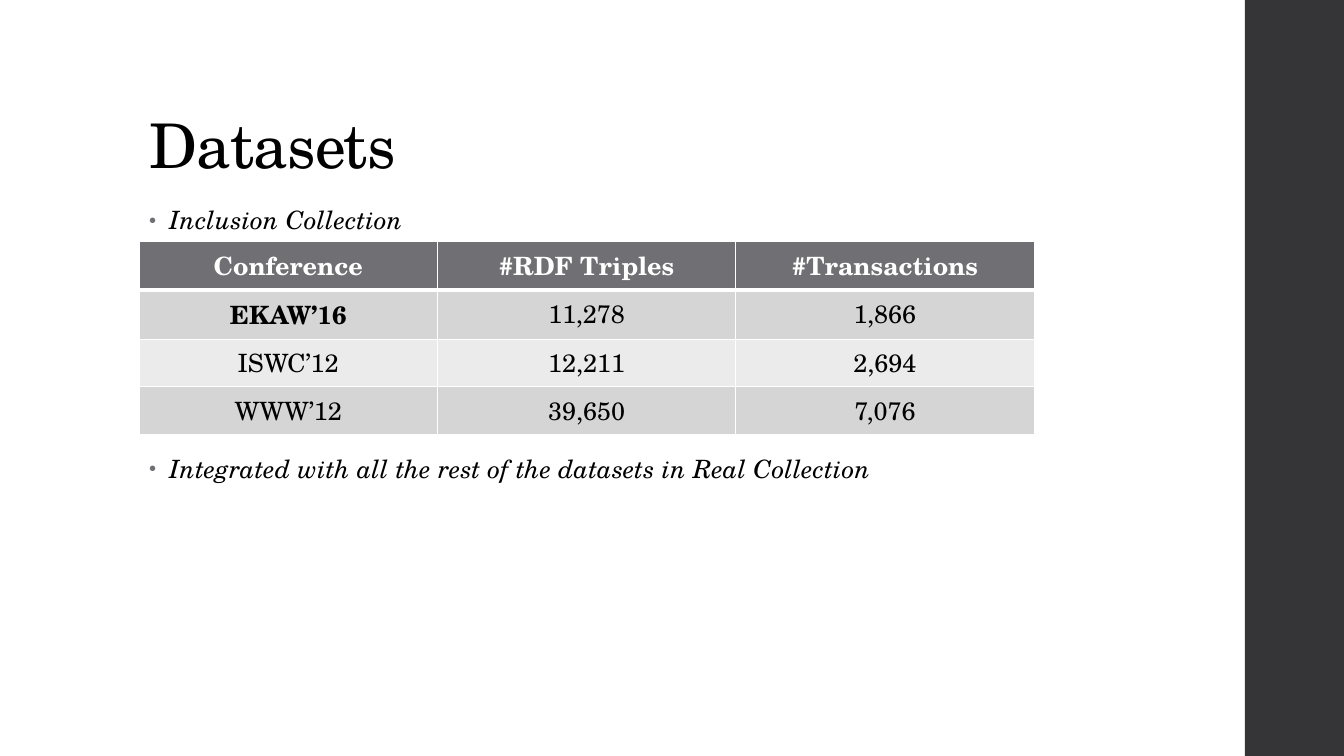
from lxml.etree import SubElement
from pptx import Presentation
from pptx.dml.color import RGBColor
from pptx.enum.shapes import MSO_SHAPE
from pptx.enum.text import MSO_ANCHOR, MSO_AUTO_SIZE, PP_ALIGN
from pptx.oxml import parse_xml
from pptx.oxml.ns import nsdecls, qn
from pptx.util import Emu, Inches, Pt

COLORS = {
    "text": "000000",
    "white": "FFFFFF",
    "sidebar": "353537",
    "accent": "6F6F74",
    "odd": "D5D5D6",
    "even": "EBEBEB",
}
FONT = "TeX Gyre Schola"
ROWS = [
    ("Conference", "#RDF Triples", "#Transactions"),
    ("EKAW’16", "11,278", "1,866"),
    ("ISWC’12", "12,211", "2,694"),
    ("WWW’12", "39,650", "7,076"),
]
BULLETS = [("Inclusion Collection", 14),
           ("Integrated with all the rest of the datasets in Real Collection", 155)]

prs = Presentation()
prs.slide_width, prs.slide_height = Inches(13.33), Inches(7.5)


def box(left, top, width, height):
    w, h = prs.slide_width / 100, prs.slide_height / 100
    return Emu(int(left * w)), Emu(int(top * h)), Emu(int(width * w)), Emu(int(height * h))


def style(p, size, color="text", bold=False, italic=False, spacing=0):
    for r in p.runs:
        r.font.name = FONT
        r.font.size = Pt(size)
        r.font.bold = bold
        r.font.italic = italic
        r.font.color.rgb = RGBColor.from_string(COLORS[color])
        r._r.get_or_add_rPr().set("spc", str(int(spacing * 100)))


s = prs.slides.add_slide(prs.slide_layouts[1])

sidebar = s.shapes.add_shape(MSO_SHAPE.RECTANGLE, *box(92.62, 0, 7.38, 100))
sidebar.shadow.inherit = False
sidebar.fill.solid()
sidebar.fill.fore_color.rgb = RGBColor.from_string(COLORS["sidebar"])
sidebar.line.fill.background()

title = s.shapes.title
title.left, title.top, title.width, title.height = box(10.35, 5.33, 79.5, 19.33)
tf = title.text_frame
tf.text = "Datasets"
tf.auto_size = MSO_AUTO_SIZE.NONE
tf.vertical_anchor = MSO_ANCHOR.BOTTOM
p = tf.paragraphs[0]
p.alignment = PP_ALIGN.LEFT
p.line_spacing = 0.9
style(p, 44, spacing=-0.5)

body = s.placeholders[1]
body.left, body.top, body.width, body.height = box(10.35, 26.67, 70.5, 63.47)
tf = body.text_frame
tf.text = "\n".join(text for text, _ in BULLETS)
tf.auto_size = MSO_AUTO_SIZE.NONE
for p, (_, before) in zip(tf.paragraphs, BULLETS):
    p.line_spacing = 0.95
    p.space_before, p.space_after = Pt(before), Pt(2)
    style(p, 18, italic=True, spacing=0.1)
    pPr = p._p.get_or_add_pPr()
    pPr.set("marL", str(Inches(0.2)))
    pPr.set("indent", str(-Inches(0.2)))
    SubElement(SubElement(pPr, qn("a:buClr")), qn("a:srgbClr")).set("val", COLORS["accent"])
    SubElement(pPr, qn("a:buSzPct")).set("val", "80000")
    SubElement(pPr, qn("a:buFont")).set("typeface", "Arial")
    SubElement(pPr, qn("a:buChar")).set("char", "•")

table = s.shapes.add_table(len(ROWS), 3, *box(10.35, 31.87, 66.6, 25.2)).table
for i, row in enumerate(ROWS):
    fill = "accent" if i == 0 else "odd" if i % 2 else "even"
    for j, value in enumerate(row):
        cell = table.cell(i, j)
        cell.text = value
        cell.fill.solid()
        cell.fill.fore_color.rgb = RGBColor.from_string(COLORS[fill])
        p = cell.text_frame.paragraphs[0]
        p.alignment = PP_ALIGN.CENTER
        style(p, 18, "text" if i else "white", bold=i == 0 or (i, j) == (1, 0))
        tcPr = cell._tc.get_or_add_tcPr()
        for k, side in enumerate("LRTB"):
            thick = (i, side) in ((0, "B"), (1, "T"))
            tcPr.insert(k, parse_xml(
                f'<a:ln{side} {nsdecls("a")} w="{Pt(3 if thick else 1)}"><a:solidFill>'
                f'<a:srgbClr val="{COLORS["white"]}"/></a:solidFill></a:ln{side}>'))

prs.save("out.pptx")
